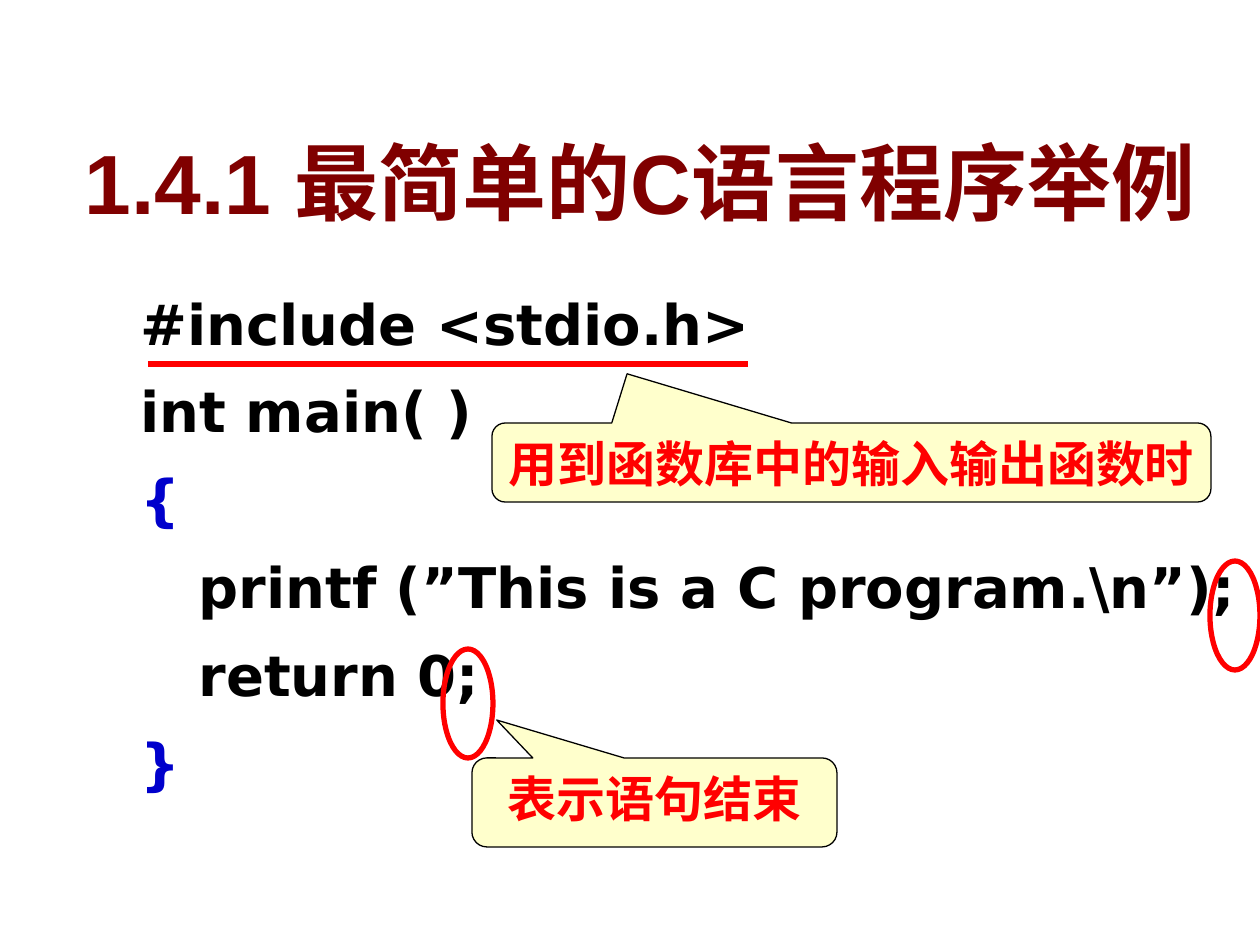
from dataclasses import dataclass

from lxml.etree import SubElement
from pptx import Presentation
from pptx.dml.color import RGBColor
from pptx.enum.shapes import MSO_CONNECTOR, MSO_SHAPE
from pptx.enum.text import MSO_ANCHOR, MSO_AUTO_SIZE, PP_ALIGN
from pptx.oxml.ns import qn
from pptx.util import Emu, Pt

PX_PER_INCH = 126
INDENT = 58

TITLE = "1.4.1 最简单的C语言程序举例"
TITLE_AREA = (59, 24, 1162, 214)

# (text, indent level, colour name)
CODE = [
    ("#include <stdio.h>", 0, "ink"),
    ("int main( )", 0, "ink"),
    ("{", 0, "brace"),
    ("printf (”This is a C program.\\n”);", 1, "ink"),
    ("return 0;", 1, "ink"),
    ("}", 0, "brace"),
]
CODE_AREA = (128, 276, 1132, 561)

# (text, area, pointer offset from the centre as a share of the size)
CALLOUTS = [
    ("表示语句结束", (472, 758, 365, 89), (-0.432, -0.926)),
    ("用到函数库中的输入输出函数时", (492, 423, 719, 79), (-0.312, -1.123)),
]
SEMICOLON_RINGS = [(1210, 561, 50, 109), (443, 649, 50, 109)]
INCLUDE_UNDERLINE = (148, 364, 748, 364)


@dataclass(frozen=True)
class Theme:
    title: str = "800000"
    ink: str = "000000"
    brace: str = "0000CC"
    accent: str = "FF0000"
    callout: str = "FFFFCC"
    text_font: str = "Arial"
    code_font: str = "DejaVu Sans"
    title_size: int = 48
    code_size: int = 32
    callout_size: int = 28
    thin: float = 0.75
    thick: float = 3


THEME = Theme()


def px(*lengths):
    return [Emu(round(length * 914400 / PX_PER_INCH)) for length in lengths]


def place(box, area):
    for name, length in zip(("left", "top", "width", "height"), px(*area)):
        setattr(box, name, length)


def add_span(para, text, font_name, size, color):
    span = para.add_run()
    span.text = text
    formats = {"name": font_name, "size": Pt(size), "bold": True}
    for name, value in formats.items():
        setattr(span.font, name, value)
    span.font.color.rgb = RGBColor.from_string(color)
    return span


def set_line(shape, color, width):
    shape.line.color.rgb = RGBColor.from_string(color)
    shape.line.width = Pt(width)


def add_text_shadow(span):
    fill = span.font._element.find(qn("a:solidFill"))
    effects = SubElement(span.font._element, qn("a:effectLst"))
    fill.addnext(effects)
    shadow = SubElement(effects, qn("a:outerShdw"), dist="38100", dir="2700000")
    SubElement(shadow, qn("a:srgbClr"), val="C0C0C0")


def fill_title(box):
    place(box, TITLE_AREA)
    frame = box.text_frame
    frame.auto_size = MSO_AUTO_SIZE.NONE
    frame.vertical_anchor = MSO_ANCHOR.BOTTOM
    para = frame.paragraphs[0]
    para.alignment = PP_ALIGN.CENTER
    add_text_shadow(
        add_span(para, TITLE, THEME.text_font, THEME.title_size, THEME.title))


def fill_code(box):
    place(box, CODE_AREA)
    frame = box.text_frame
    frame.auto_size = MSO_AUTO_SIZE.NONE
    for index, (text, level, color) in enumerate(CODE):
        para = frame.add_paragraph() if index else frame.paragraphs[0]
        para.line_spacing = 1.1
        para.space_before = Pt(8)
        properties = para._p.get_or_add_pPr()
        properties.set("marL", str(px(level * INDENT)[0]))
        properties.set("indent", "0")
        SubElement(properties, qn("a:buNone"))
        add_span(para, text, THEME.code_font, THEME.code_size,
                 getattr(THEME, color))


def add_callout(page, text, area, pointer):
    shape = page.shapes.add_shape(MSO_SHAPE.ROUNDED_RECTANGULAR_CALLOUT, *px(*area))
    shape.shadow.inherit = False
    for index, value in enumerate((*pointer, 0.167)):
        shape.adjustments[index] = value
    shape.fill.solid()
    shape.fill.fore_color.rgb = RGBColor.from_string(THEME.callout)
    set_line(shape, THEME.ink, THEME.thin)
    frame = shape.text_frame
    frame.word_wrap = False
    frame.vertical_anchor = MSO_ANCHOR.TOP
    para = frame.paragraphs[0]
    para.alignment = PP_ALIGN.CENTER
    add_span(para, text, THEME.text_font, THEME.callout_size, THEME.accent)


def add_ring(page, area):
    ring = page.shapes.add_shape(MSO_SHAPE.FLOWCHART_CONNECTOR, *px(*area))
    ring.shadow.inherit = False
    ring.fill.background()
    set_line(ring, THEME.accent, THEME.thick)


def add_underline(page, ends):
    line = page.shapes.add_connector(MSO_CONNECTOR.STRAIGHT, *px(*ends))
    set_line(line, THEME.accent, THEME.thick)
    SubElement(line._element.spPr, qn("a:effectLst"))


def main():
    deck = Presentation()
    deck.slide_width, deck.slide_height = px(1260, 945)
    page = deck.slides.add_slide(deck.slide_layouts[1])
    fill_title(page.shapes.title)
    fill_code(page.placeholders[1])
    for callout in CALLOUTS:
        add_callout(page, *callout)
    for area in SEMICOLON_RINGS:
        add_ring(page, area)
    add_underline(page, INCLUDE_UNDERLINE)
    deck.save("out.pptx")


if __name__ == "__main__":
    main()
